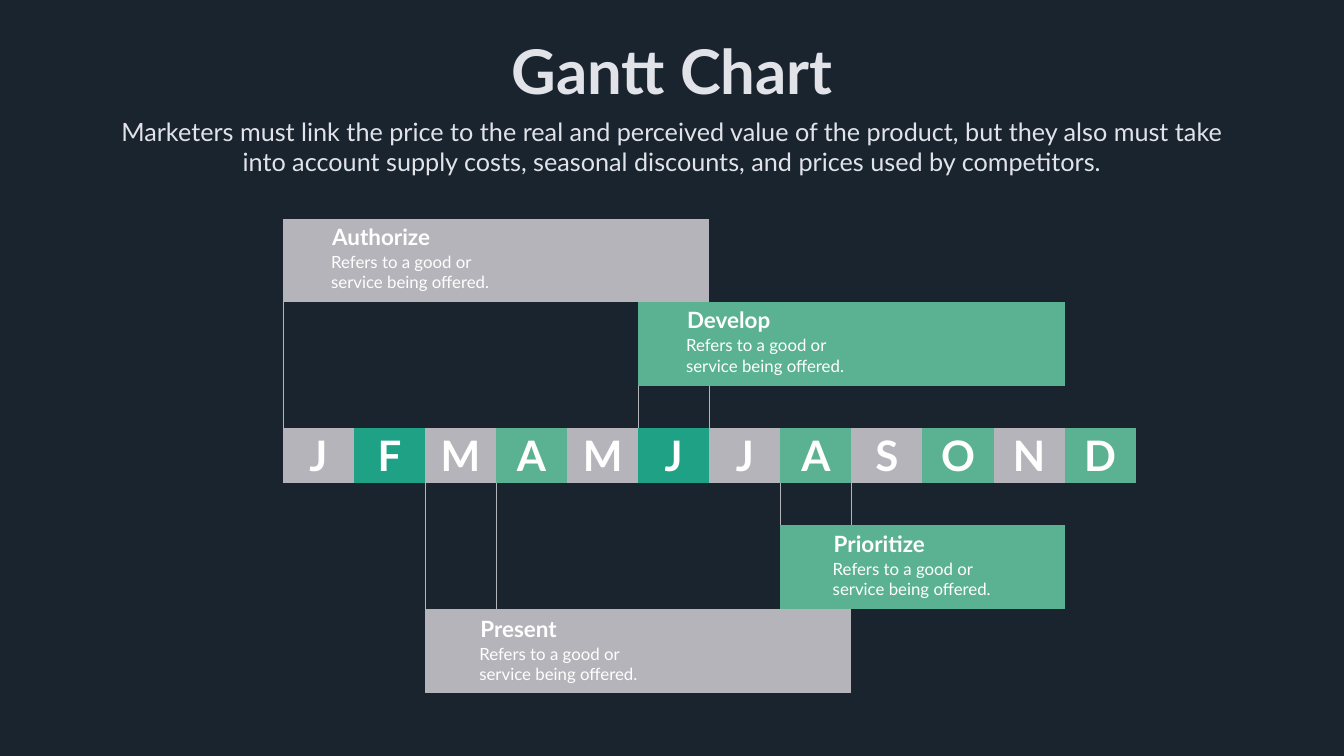
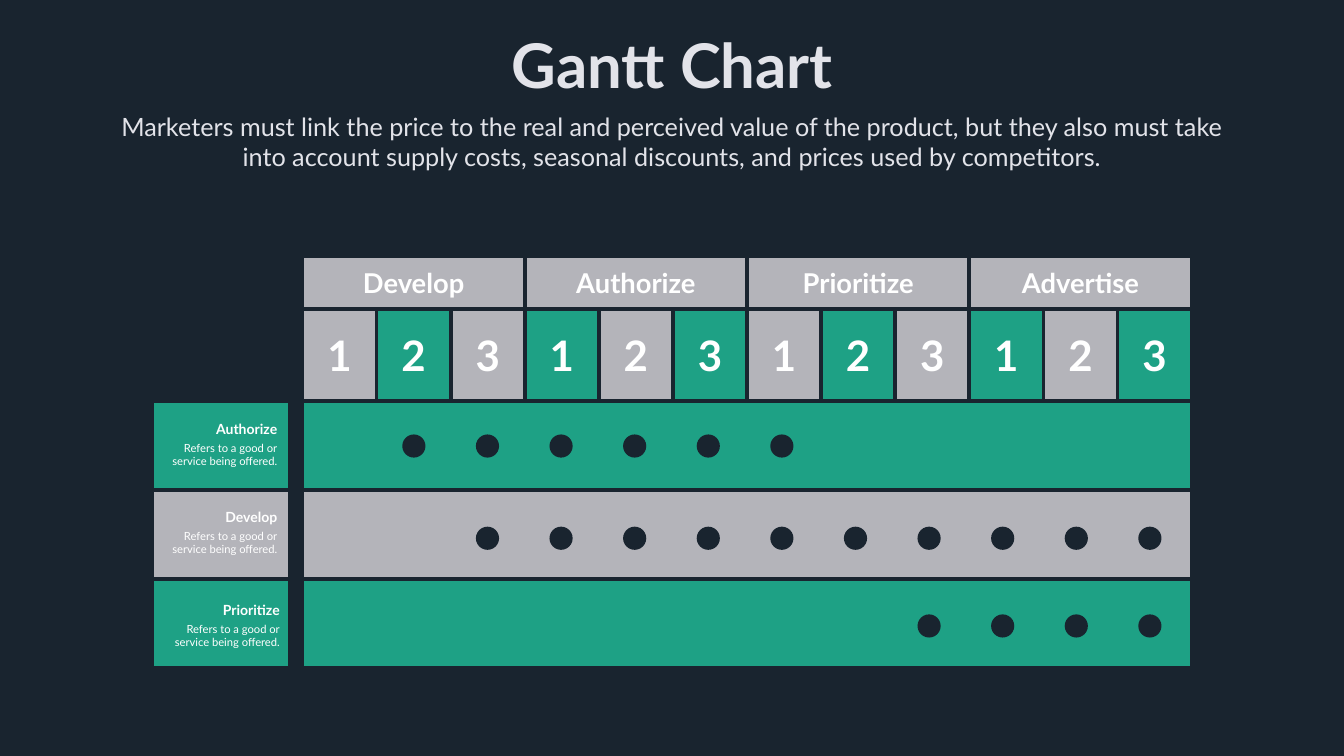
"""Build two Gantt chart slides, one with month bars and one with a dotted grid."""
from lxml import etree
from pptx import Presentation
from pptx.dml.color import RGBColor as RGB
from pptx.enum.shapes import MSO_SHAPE as SHAPE
from pptx.enum.text import MSO_ANCHOR as ANCHOR, MSO_AUTO_SIZE as FIT, PP_ALIGN as ALIGN
from pptx.oxml import parse_xml
from pptx.oxml.ns import nsdecls, qn
from pptx.util import Inches, Pt

NAVY = RGB(0x19, 0x24, 0x2F)
PALE = RGB(0xE2, 0xE3, 0xE9)
GREY = RGB(0xB4, 0xB4, 0xBA)
MINT = RGB(0x5B, 0xB2, 0x92)
TEAL = RGB(0x1E, 0xA1, 0x85)
WHITE = RGB(0xFF, 0xFF, 0xFF)

TITLE = "Gantt Chart"
INTRO = ("Marketers must link the price to the real and perceived value of the product, "
         "but they also must take into account supply costs, seasonal discounts, "
         "and prices used by competitors.")
NOTE = ["Refers to a good or", "service being offered."]
PLAIN = "{2D5ABB26-0587-4C30-8999-92F81FD0307C}"

MONTHS = "JFMAMJJASOND"
TONES = [GREY, TEAL, GREY, MINT, GREY, TEAL, GREY, MINT, GREY, MINT, GREY, MINT]
AXIS = 5
BARS = [
    {"head": "Authorize", "row": 0, "col": 0, "span": 6, "tone": GREY, "at": (6.49, 4.37, 2.17)},
    {"head": "Develop", "row": 2, "col": 5, "span": 6, "tone": MINT, "at": (13.53, 6.03, 1.88)},
    {"head": "Prioritize", "row": 7, "col": 7, "span": 4, "tone": MINT, "at": (16.44, 10.46, 2.03)},
    {"head": "Present", "row": 9, "col": 2, "span": 6, "tone": GREY, "at": (9.43, 12.15, 1.74)},
]
STEMS = [(0, 2, 4), (5, 4, 4), (2, 6, 8), (7, 6, 6)]

PHASES = ["Develop", "Authorize", "Prioritize", "Advertise"]
TASKS = [
    {"head": "Authorize", "tone": TEAL, "at": (5.6, 8.3, 1.43), "mid": 8.85, "dots": range(1, 7)},
    {"head": "Develop", "tone": GREY, "at": (5.6, 10.05, 1.25), "mid": 10.68, "dots": range(2, 12)},
    {"head": "Prioritize", "tone": TEAL, "at": (5.65, 11.89, 1.35), "mid": 12.42, "dots": range(8, 12)},
]
DOT, FIRST, STEP = 0.46, 6.75, 1.46


def write(frame, lines, size, bold=False, tone=WHITE, align=ALIGN.CENTER):
    for i, line in enumerate(lines):
        para = frame.paragraphs[0] if i == 0 else frame.add_paragraph()
        para.text, para.alignment, para.space_before = line, align, Pt(0)
        font = para.runs[0].font
        for key, val in {"name": "Lato", "size": Pt(size), "bold": bold}.items():
            setattr(font, key, val)
        font.color.rgb = tone


def place(shape, *box):
    for key, val in zip(("left", "top", "width", "height"), box):
        setattr(shape, key, Inches(val))


def start(deck, top):
    slide = deck.slides.add_slide(deck.slide_layouts[0])
    head, intro = slide.placeholders
    place(head, 9.97, top, 6.73, 1.58)
    place(intro, 2.22, top + 1.66, 22.21, 1.31)
    for shape, text, size, bold in ((head, TITLE, 88, True), (intro, INTRO, 36, False)):
        frame = shape.text_frame
        frame.auto_size, frame.vertical_anchor = FIT.NONE, ANCHOR.TOP
        frame.word_wrap = shape is intro
        write(frame, [text], size, bold, PALE)
    return slide


def label(slide, box, lines, size, bold, align):
    shape = slide.shapes.add_textbox(*map(Inches, box))
    shape.text_frame.word_wrap = not bold
    write(shape.text_frame, lines, size, bold, align=align)


def grid(slide, left, top, cols, rows):
    box = [Inches(n) for n in (left, top, sum(cols), sum(rows))]
    table = slide.shapes.add_table(len(rows), len(cols), *box).table
    table.first_row = table.horz_banding = False
    table._tbl.tblPr.find(qn("a:tableStyleId")).text = PLAIN
    for col, wide in zip(table.columns, cols):
        col.width = Inches(wide)
    for row, high in zip(table.rows, rows):
        row.height = Inches(high)
    for cell in table.iter_cells():
        cell.fill.background()
    return table


def paint(cell, tone, text="", size=60):
    cell.fill.solid()
    cell.fill.fore_color.rgb = tone
    if text:
        cell.vertical_anchor = ANCHOR.MIDDLE
        write(cell.text_frame, [text], size, True)


def edge(cell, sides, tone, width):
    props = cell._tc.get_or_add_tcPr()
    for i, side in enumerate(sides):
        line = parse_xml(f'<a:ln{side} {nsdecls("a")} w="{Pt(width)}"/>')
        fill = etree.SubElement(line, qn("a:solidFill"))
        etree.SubElement(fill, qn("a:srgbClr"), val=str(tone))
        props.insert(i, line)


def months(deck):
    slide = start(deck, 0.6)
    rows = [0.83] * 11
    rows[AXIS] = 1.09
    table = grid(slide, 5.61, 4.34, [1.41] * 12, rows)
    for col, (text, tone) in enumerate(zip(MONTHS, TONES)):
        paint(table.cell(AXIS, col), tone, text)
    for bar in BARS:
        row, col = bar["row"], bar["col"]
        cell = table.cell(row, col)
        cell.merge(table.cell(row + 1, col + bar["span"] - 1))
        paint(cell, bar["tone"])
        x, y, wide = bar["at"]
        label(slide, (x - 0.02, y + 0.57, 3.92, 0.91), [" ".join(NOTE)], 24, False, ALIGN.LEFT)
        label(slide, (x, y, wide, 0.64), [bar["head"]], 32, True, ALIGN.LEFT)
    for col, first, last in STEMS:
        for row in range(first, last + 1):
            edge(table.cell(row, col), "L", GREY, 1)
            if col:
                edge(table.cell(row, col - 1), "R", GREY, 1)


def tasks(deck):
    slide = start(deck, 0.49)
    table = grid(slide, 3.02, 5.08, [2.73, 0.25] + [1.47] * 12, [1.05, 1.82] + [1.77] * 3)
    for i, phase in enumerate(PHASES):
        cell = table.cell(0, 2 + 3 * i)
        cell.merge(table.cell(0, 4 + 3 * i))
        paint(cell, GREY, phase, 39)
    for i in range(12):
        paint(table.cell(1, 2 + i), (GREY, TEAL)[i % 2], str(i % 3 + 1))
    table.cell(1, 1).merge(table.cell(4, 1))
    for row, task in enumerate(TASKS, 2):
        paint(table.cell(row, 0), task["tone"])
        table.cell(row, 2).merge(table.cell(row, 13))
        paint(table.cell(row, 2), task["tone"])
        right, y, wide = task["at"]
        label(slide, (right - 2.33, y + 0.4, 2.33, 0.64), NOTE, 16, False, ALIGN.RIGHT)
        label(slide, (right - wide, y, wide, 0.44), [task["head"]], 20, True, ALIGN.RIGHT)
        for col in task["dots"]:
            x = FIRST + STEP * col
            box = (x - DOT / 2, task["mid"] - DOT / 2, DOT, DOT)
            dot = slide.shapes.add_shape(SHAPE.OVAL, *map(Inches, box))
            dot.shadow.inherit = False
            dot.fill.solid()
            dot.fill.fore_color.rgb = NAVY
            dot.line.fill.background()
    for cell in table.iter_cells():
        edge(cell, "LRTB", NAVY, 6)


def main():
    deck = Presentation()
    deck.slide_width, deck.slide_height = Inches(26.66), Inches(15)
    back = deck.slide_master.background.fill
    back.solid()
    back.fore_color.rgb = NAVY
    months(deck)
    tasks(deck)
    deck.save("out.pptx")


if __name__ == "__main__":
    main()
